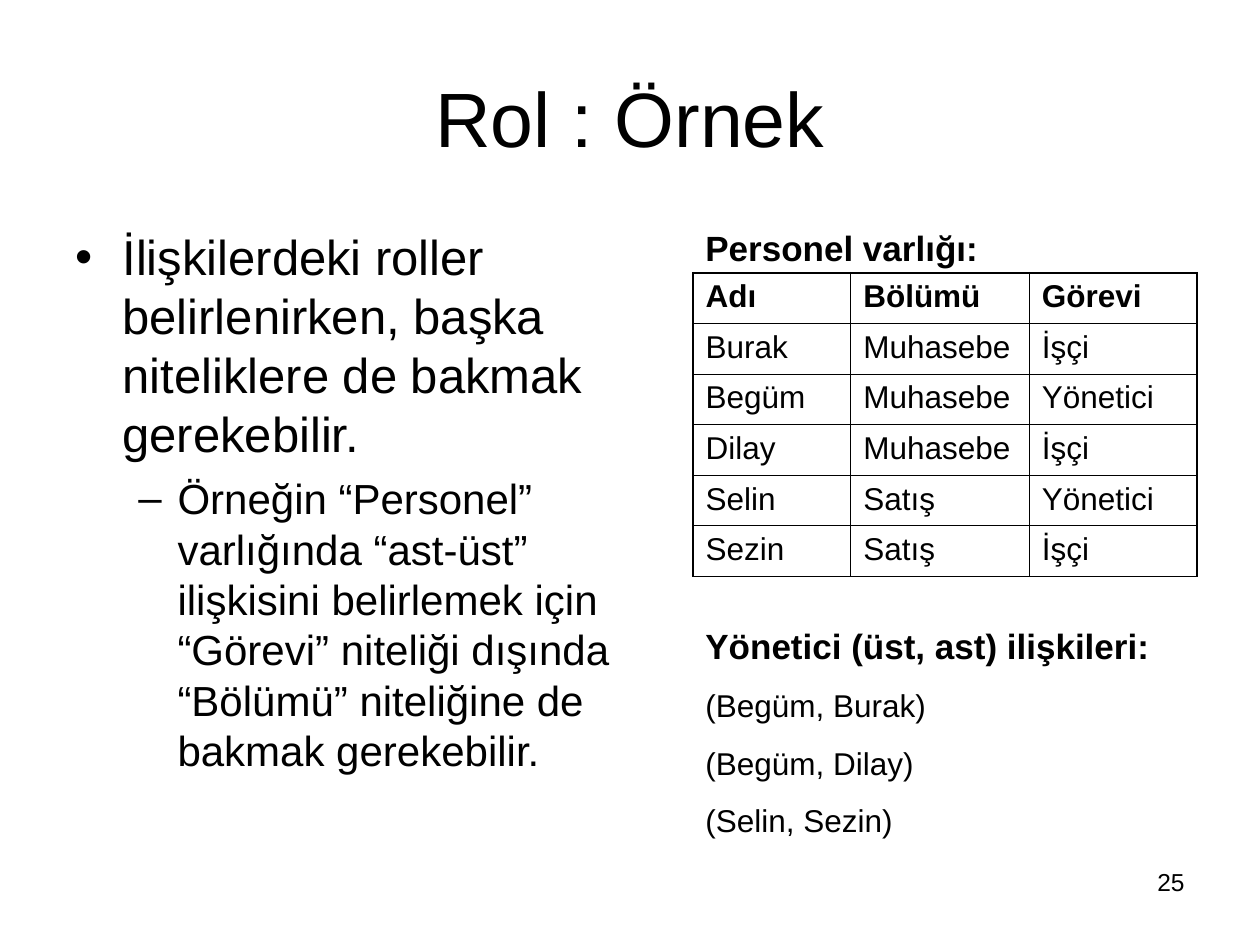
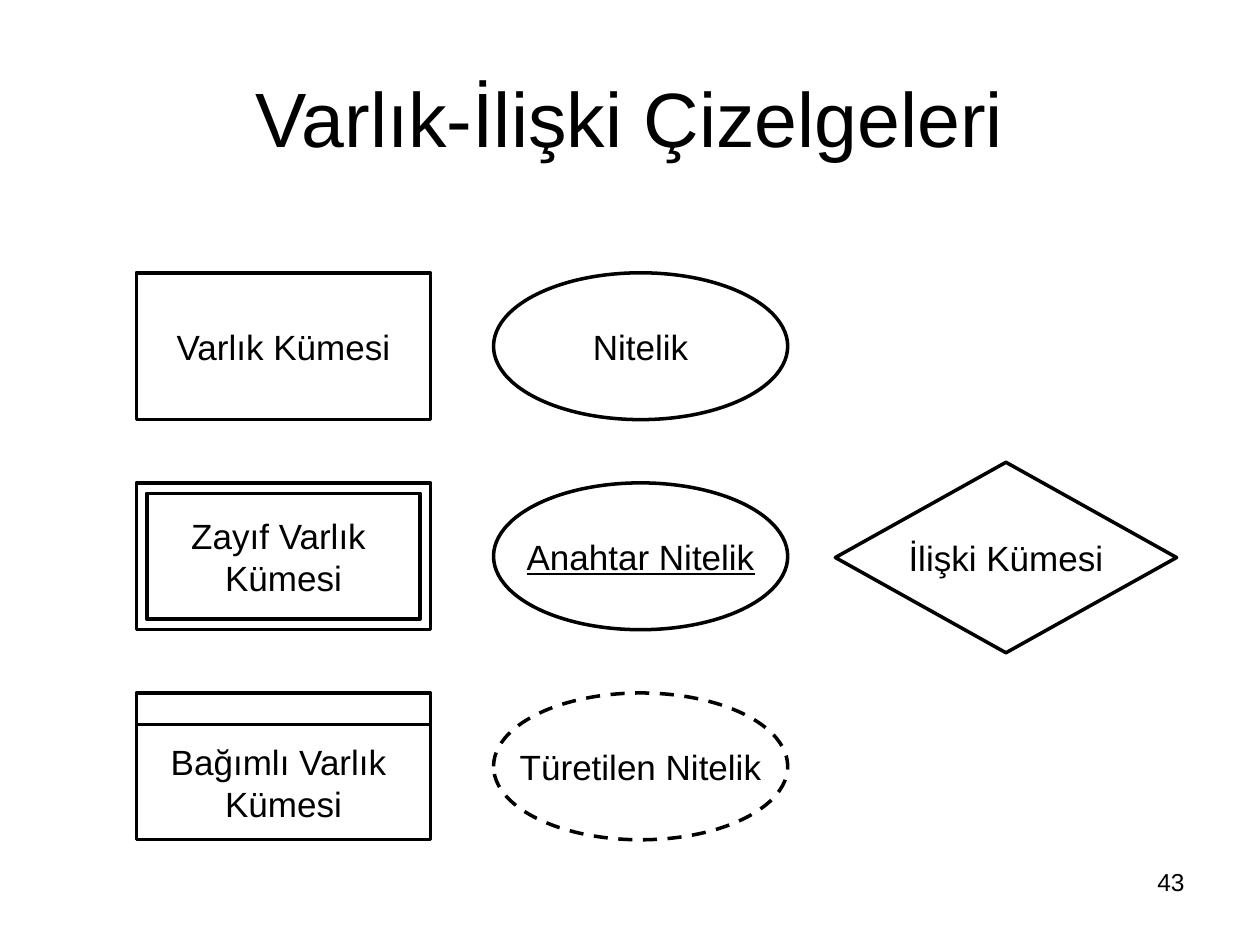
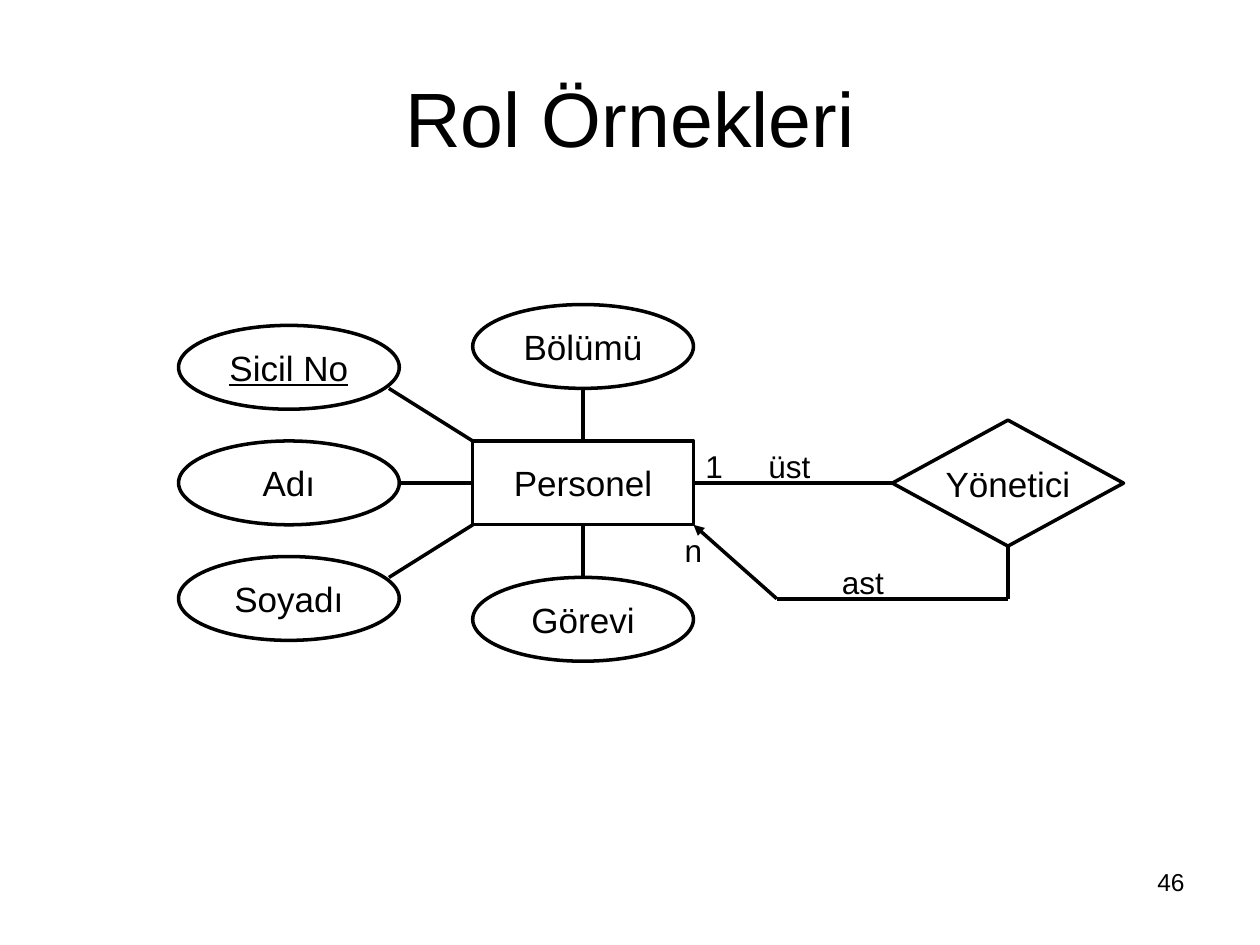
from lxml import etree
from pptx import Presentation
from pptx.dml.color import RGBColor
from pptx.enum.dml import MSO_LINE
from pptx.enum.shapes import MSO_CONNECTOR, MSO_SHAPE
from pptx.enum.text import MSO_ANCHOR, MSO_AUTO_SIZE, PP_ALIGN
from pptx.oxml.ns import qn
from pptx.util import Cm, Pt

RECT, ELLIPSE, DIAMOND = MSO_SHAPE.RECTANGLE, MSO_SHAPE.OVAL, MSO_SHAPE.DIAMOND
LEFT, CENTER, RIGHT = PP_ALIGN.LEFT, PP_ALIGN.CENTER, PP_ALIGN.RIGHT
TOP, MIDDLE = MSO_ANCHOR.TOP, MSO_ANCHOR.MIDDLE
FIT_SHAPE = MSO_AUTO_SIZE.SHAPE_TO_FIT_TEXT
DASH = MSO_LINE.DASH
STRAIGHT = MSO_CONNECTOR.STRAIGHT

BLACK = RGBColor(0x00, 0x00, 0x00)
FONT = "Arial"
LINE_WIDTH = Pt(2)
THICK, THIN = Pt(1.08), Pt(0.45)

# Lengths below are centimetres: left, top, width, height.
TITLE_BOX = (1.27, 0.76, 22.86, 3.18)
NUMBER_BOX = (18.2, 17.35, 5.93, 1.32)

# Slide 25: text, size, space before, bullet, left margin, hanging indent
ROLE_POINTS = [
    ("İlişkilerdeki roller belirlenirken, başka niteliklere de bakmak gerekebilir.",
     28, 7, "•", 0.95, 0.95),
    ("Örneğin “Personel” varlığında “ast-üst” ilişkisini belirlemek için “Görevi” "
     "niteliği dışında “Bölümü” niteliğine de bakmak gerekebilir.",
     24, 6, "–", 2.06, 0.79),
]
STAFF_HEADING = "Personel varlığı:"
STAFF = [
    ("Adı", "Bölümü", "Görevi"),
    ("Burak", "Muhasebe", "İşçi"),
    ("Begüm", "Muhasebe", "Yönetici"),
    ("Dilay", "Muhasebe", "İşçi"),
    ("Selin", "Satış", "Yönetici"),
    ("Sezin", "Satış", "İşçi"),
]
STAFF_COLUMNS = (3.18, 3.6, 3.38)
STAFF_ROW = 1.02
MANAGER_HEADING = "Yönetici (üst, ast) ilişkileri:"
MANAGER_PAIRS = ["(Begüm, Burak)", "(Begüm, Dilay)", "(Selin, Sezin)"]

# Slide 43
ATTRIBUTE_KINDS = [
    ("Nitelik", {}),
    ("Anahtar Nitelik", {"underline": True}),
    ("Türetilen Nitelik", {"dash": DASH}),
]
SYMBOL_W, SYMBOL_H = 5.93, 2.96
ENTITY_X, ATTRIBUTE_X = 2.75, 9.95
SYMBOL_TOPS = [5.5 + 4.235 * row for row in range(3)]
WEAK_INSET = 0.21
DEPENDENT_BAND = 0.64

# Slide 46
NODE_W, NODE_H = 4.45, 1.69
SIDE_X, STAFF_X, STAFF_Y = 3.6, 9.53, 8.89
SIDE_STEP, STACK_STEP = 2.33, 2.75
MANAGER = (17.99, 8.47, 4.66, 2.54)
SIDE_ATTRIBUTES = ["Sicil No", "Adı", "Soyadı"]
KEY_ATTRIBUTE = "Sicil No"
ROLE_LABELS = [
    ("üst", 15.24, 8.89, 1.7),
    ("ast", 16.72, 11.22, 1.7),
    ("1", 13.97, 8.89, 1.06),
    ("n", 13.55, 10.58, 1.06),
]


def cm(*lengths):
    return [Cm(length) for length in lengths]


def style(paragraph, size, align=LEFT, before=0, bold=False, underline=False):
    paragraph.alignment = align
    paragraph.space_before = Pt(before)
    for run in paragraph.runs:
        font = run.font
        font.name, font.size = FONT, Pt(size)
        font.bold, font.underline = bold, underline
        font.color.rgb = BLACK


def add_text(slide, box, lines, size, anchor=TOP, fit=False, **look):
    frame = slide.shapes.add_textbox(*cm(*box)).text_frame
    frame.word_wrap = True
    frame.vertical_anchor = anchor
    if fit:
        frame.auto_size = FIT_SHAPE
    frame.text = "\n".join(lines)
    for paragraph in frame.paragraphs:
        style(paragraph, size, **look)
    return frame


def add_symbol(slide, preset, box, text="", dash=None, underline=False):
    """Add an outlined, unfilled diagram symbol with centred text."""
    shape = slide.shapes.add_shape(preset, *cm(*box))
    shape.shadow.inherit = False
    shape.fill.background()
    shape.line.color.rgb = BLACK
    shape.line.width = LINE_WIDTH
    if dash:
        shape.line.dash_style = dash
    frame = shape.text_frame
    frame.word_wrap = False
    frame.vertical_anchor = MIDDLE
    frame.text = text
    for paragraph in frame.paragraphs:
        style(paragraph, 20, CENTER, underline=underline)


def add_link(slide, start, end, arrow_at_start=False):
    link = slide.shapes.add_connector(STRAIGHT, *cm(*start, *end))
    link.line.color.rgb = BLACK
    link.line.width = LINE_WIDTH
    if arrow_at_start:
        etree.SubElement(link.line._get_or_add_ln(), qn("a:headEnd"), type="triangle")
    etree.SubElement(link._element.spPr, qn("a:effectLst"))


def add_bullet(paragraph, mark, margin, hang):
    properties = paragraph._p.get_or_add_pPr()
    properties.set("marL", str(Cm(margin)))
    properties.set("indent", str(-Cm(hang)))
    etree.SubElement(properties, qn("a:buFont"), typeface=FONT)
    etree.SubElement(properties, qn("a:buChar"), char=mark)


def set_borders(cell, widths):
    properties = cell._tc.get_or_add_tcPr()
    for side, width in zip("LRTB", widths):
        border = etree.SubElement(properties, qn(f"a:ln{side}"), w=str(width))
        fill = etree.SubElement(border, qn("a:solidFill"))
        etree.SubElement(fill, qn("a:srgbClr"), val=str(BLACK))


def start_slide(deck, title, number):
    slide = deck.slides.add_slide(deck.slide_layouts[6])
    add_text(slide, TITLE_BOX, [title], 44, anchor=MIDDLE, align=CENTER)
    add_text(slide, NUMBER_BOX, [str(number)], 14, align=RIGHT)
    return slide


def add_staff_table(slide, left, top):
    last_row, last_column = len(STAFF) - 1, len(STAFF_COLUMNS) - 1
    table = slide.shapes.add_table(
        len(STAFF), len(STAFF_COLUMNS),
        *cm(left, top, sum(STAFF_COLUMNS), STAFF_ROW * len(STAFF))).table
    table.first_row = table.horz_banding = False
    for column, width in zip(table.columns, STAFF_COLUMNS):
        column.width = Cm(width)
    for r, values in enumerate(STAFF):
        table.rows[r].height = Cm(STAFF_ROW)
        for c, value in enumerate(values):
            cell = table.cell(r, c)
            cell.text_frame.text = value
            style(cell.text_frame.paragraphs[0], 18, before=4.5, bold=r == 0)
            outer = (c == 0, c == last_column, r == 0, r == last_row)
            set_borders(cell, [THICK if edge else THIN for edge in outer])
            cell.fill.background()


def build_role_example(deck):
    slide = start_slide(deck, "Rol : Örnek", 25)
    points = add_text(slide, (1.27, 4.45, 12.07, 12.57),
                      [point[0] for point in ROLE_POINTS], 28)
    for paragraph, point in zip(points.paragraphs, ROLE_POINTS):
        _, size, before, mark, margin, hang = point
        style(paragraph, size, before=before)
        add_bullet(paragraph, mark, margin, hang)

    column_x = 13.97
    add_staff_table(slide, column_x, 5.5)
    add_text(slide, (column_x, 4.45, 6.99, 1.12), [STAFF_HEADING], 20,
             fit=True, before=12.5, bold=True)
    pairs = add_text(slide, (column_x, 12.47, 10.16, 4.6),
                     [MANAGER_HEADING, *MANAGER_PAIRS], 18, fit=True, before=11.2)
    style(pairs.paragraphs[0], 20, before=12.5, bold=True)


def build_symbols(deck):
    slide = start_slide(deck, "Varlık-İlişki Çizelgeleri", 43)
    for top, (text, look) in zip(SYMBOL_TOPS, ATTRIBUTE_KINDS):
        add_symbol(slide, ELLIPSE, (ATTRIBUTE_X, top, SYMBOL_W, SYMBOL_H), text, **look)

    plain, weak, dependent = SYMBOL_TOPS
    add_symbol(slide, RECT, (ENTITY_X, plain, SYMBOL_W, SYMBOL_H), "Varlık Kümesi")
    add_symbol(slide, RECT, (ENTITY_X, weak, SYMBOL_W, SYMBOL_H), "Zayıf Varlık \nKümesi")
    add_symbol(slide, RECT, (ENTITY_X + WEAK_INSET, weak + WEAK_INSET,
                             SYMBOL_W - 2 * WEAK_INSET, SYMBOL_H - 2 * WEAK_INSET))
    add_symbol(slide, RECT, (ENTITY_X, dependent + DEPENDENT_BAND,
                             SYMBOL_W, SYMBOL_H - DEPENDENT_BAND),
               "Bağımlı Varlık \nKümesi")
    add_symbol(slide, RECT, (ENTITY_X, dependent, SYMBOL_W, DEPENDENT_BAND))
    add_symbol(slide, DIAMOND, (16.84, 9.32, 6.88, 3.84), "İlişki Kümesi")


def build_role_diagram(deck):
    slide = start_slide(deck, "Rol Örnekleri", 46)
    add_symbol(slide, RECT, (STAFF_X, STAFF_Y, NODE_W, NODE_H), "Personel")
    add_symbol(slide, DIAMOND, MANAGER, "Yönetici")
    for step, text in zip((-1, 0, 1), SIDE_ATTRIBUTES):
        add_symbol(slide, ELLIPSE, (SIDE_X, STAFF_Y + step * SIDE_STEP, NODE_W, NODE_H),
                   text, underline=text == KEY_ATTRIBUTE)
    for step, text in ((-1, "Bölümü"), (1, "Görevi")):
        add_symbol(slide, ELLIPSE, (STAFF_X, STAFF_Y + step * STACK_STEP, NODE_W, NODE_H),
                   text)

    staff_right, staff_bottom = STAFF_X + NODE_W, STAFF_Y + NODE_H
    center_x, center_y = STAFF_X + NODE_W / 2, STAFF_Y + NODE_H / 2
    side_right = SIDE_X + NODE_W
    corner_x, corner_gap = side_right - 0.21, 1.06
    stack_gap = STACK_STEP - NODE_H
    add_link(slide, (side_right, center_y), (STAFF_X, center_y))
    add_link(slide, (corner_x, STAFF_Y - corner_gap), (STAFF_X, STAFF_Y))
    add_link(slide, (corner_x, staff_bottom + corner_gap), (STAFF_X, staff_bottom))
    add_link(slide, (center_x, STAFF_Y - stack_gap), (center_x, STAFF_Y))
    add_link(slide, (center_x, staff_bottom), (center_x, staff_bottom + stack_gap))

    manager_x, manager_y, manager_w, manager_h = MANAGER
    manager_center = manager_x + manager_w / 2
    bend_x, bend_y = 15.66, 12.07
    add_link(slide, (staff_right, center_y), (manager_x, center_y))
    add_link(slide, (staff_right, staff_bottom), (bend_x, bend_y), arrow_at_start=True)
    add_link(slide, (manager_center, bend_y), (bend_x, bend_y))
    add_link(slide, (manager_center, manager_y + manager_h), (manager_center, bend_y))

    for text, left, top, width in ROLE_LABELS:
        add_text(slide, (left, top, width, 1.02), [text], 18, fit=True, before=11.2)


def main():
    deck = Presentation()
    deck.slide_width, deck.slide_height = cm(25.4, 19.05)
    build_role_example(deck)
    build_symbols(deck)
    build_role_diagram(deck)
    deck.save("out.pptx")


if __name__ == "__main__":
    main()
